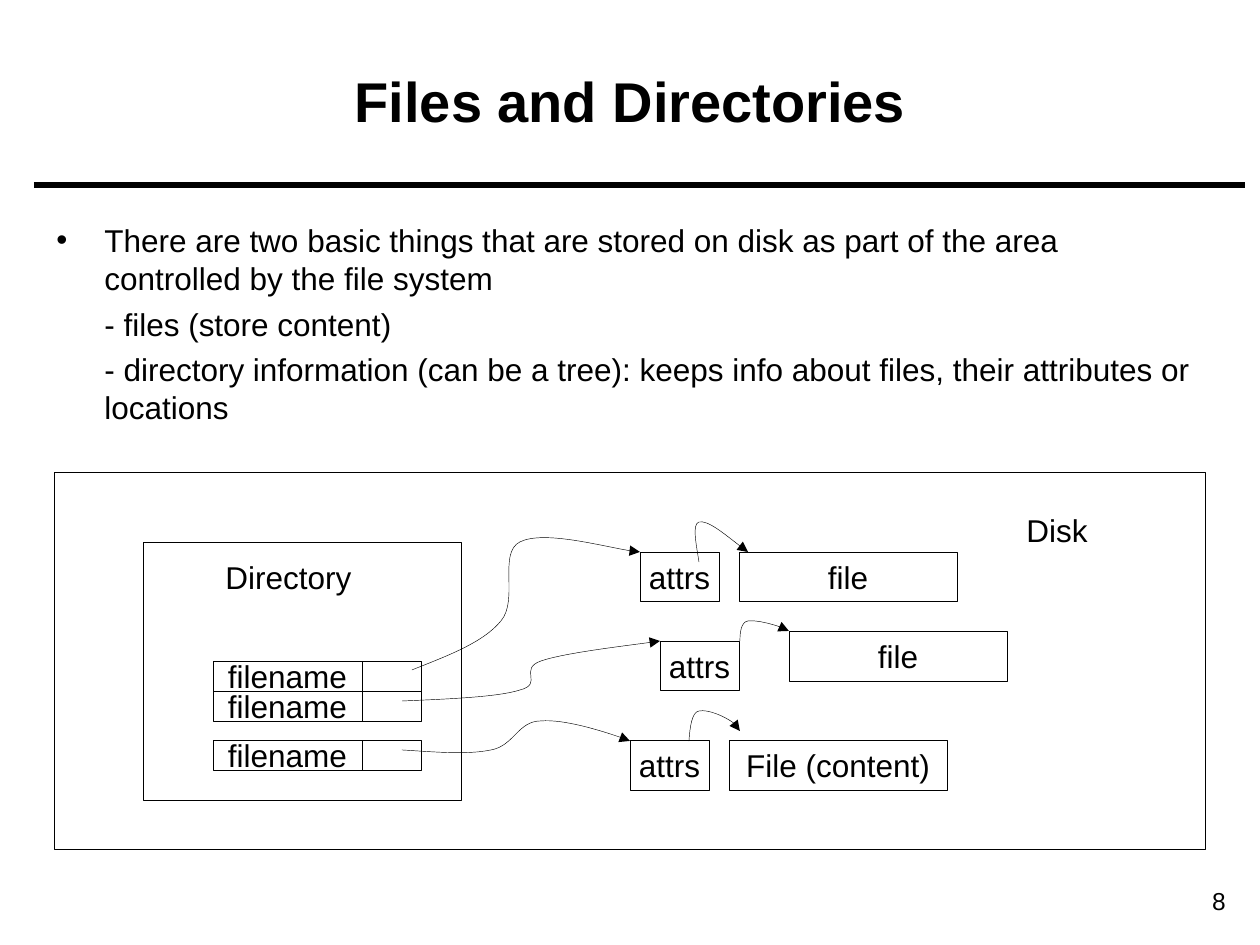
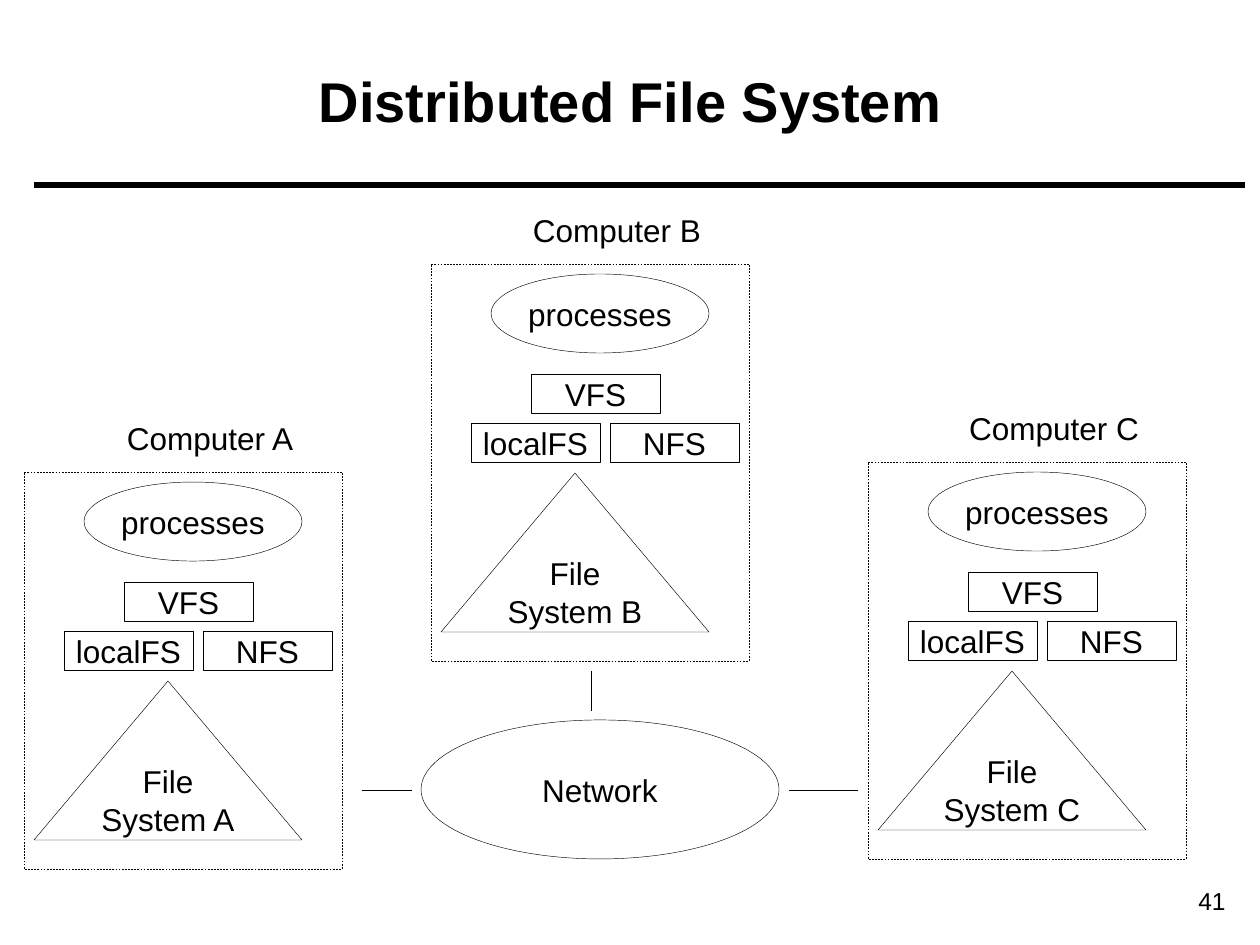
from dataclasses import dataclass

from lxml.etree import SubElement
from pptx import Presentation
from pptx.dml.color import RGBColor
from pptx.enum.dml import MSO_LINE
from pptx.enum.shapes import MSO_CONNECTOR, MSO_SHAPE
from pptx.enum.text import MSO_ANCHOR, PP_ALIGN
from pptx.oxml.ns import qn
from pptx.util import Emu, Pt

EMU_PER_PX = 914400 / 126
INK = "000000"
FONT = "Arial"
TEXT_SIZE = 18
HAIRLINE = 0.25


@dataclass(frozen=True)
class Box:
    left: int
    top: int
    width: int
    height: int

    def moved(self, right: int, down: int) -> "Box":
        return Box(self.left + right, self.top + down, self.width, self.height)


@dataclass(frozen=True)
class Node:
    box: Box
    text: str = ""
    kind: MSO_SHAPE = MSO_SHAPE.RECTANGLE
    dashed: bool = False


@dataclass(frozen=True)
class Computer:
    letter: str
    left: int
    top: int


@dataclass(frozen=True)
class Segment:
    start: tuple[int, int]
    end: tuple[int, int]
    weight: float = HAIRLINE


TITLE_BOX = Box(45, 21, 1171, 158)
NUMBER_BOX = Box(1107, 880, 131, 43)
BODY_BOX = Box(44, 215, 1171, 250)
BODY_INDENT = 48
TITLE_RULE = Segment((34, 185), (1245, 185), 3)

BODY_TEXT = (
    "There are two basic things that are stored on disk as part of the area "
    "controlled by the file system",
    "- files (store content)",
    "- directory information (can be a tree): keeps info about files, "
    "their attributes or locations",
)

DISK = Box(54, 472, 1151, 377)
DISK_LABEL = Box(1013, 505, 88, 50)
DIRECTORY = Box(143, 542, 318, 258)
DIRECTORY_LABEL = Box(208, 552, 161, 50)
ENTRY = Box(213, 0, 149, 30)
POINTER = Box(362, 0, 59, 30)
ENTRY_TOPS = (661, 691, 740)
ATTRIBUTES = (Box(640, 552, 79, 49), Box(660, 641, 79, 49), Box(630, 740, 79, 50))
FILES = (
    Node(Box(739, 552, 218, 49), "file"),
    Node(Box(789, 631, 218, 50), "file"),
    Node(Box(729, 740, 218, 50), "File (content)"),
)

# Each curve: a start point, then three points for every cubic piece.
ENTRY_CURVES = (
    ((412, 670), (447, 656), (483, 643), (501, 621), (519, 600), (498, 553),
     (520, 542), (544, 530), (620, 551), (640, 552)),
    ((402, 701), (450, 699), (498, 697), (520, 690), (544, 684), (518, 669),
     (541, 661), (564, 653), (641, 644), (660, 641)),
    ((402, 750), (435, 752), (467, 755), (491, 750), (514, 746), (518, 721),
     (541, 721), (564, 719), (619, 736), (630, 741)),
)
FILE_CURVES = (
    ((699, 562), (696, 543), (692, 524), (699, 522), (708, 520), (728, 537), (748, 552)),
    ((740, 641), (740, 633), (741, 622), (748, 621), (757, 620), (785, 627), (789, 631)),
    ((689, 741), (690, 727), (692, 712), (699, 711), (708, 709), (740, 722), (740, 731)),
)

COMPUTERS = (Computer("A", 24, 472), Computer("B", 431, 264), Computer("C", 868, 462))
COMPUTER_LABEL = Box(81, -59, 210, 50)
NETWORK = Node(Box(421, 720, 358, 139), "Network", MSO_SHAPE.OVAL)
NETWORK_LINKS = (
    Segment((362, 790), (412, 790)),
    Segment((591, 671), (591, 711)),
    Segment((789, 790), (858, 790)),
)


def emu(pixels: int) -> Emu:
    return Emu(round(pixels * EMU_PER_PX))


def place(box: Box) -> tuple[Emu, Emu, Emu, Emu]:
    return emu(box.left), emu(box.top), emu(box.width), emu(box.height)


def color(value: str) -> RGBColor:
    return RGBColor.from_string(value)


def style_text(frame, text: str, size: int = TEXT_SIZE, bold: bool = False,
               align=PP_ALIGN.CENTER, anchor=MSO_ANCHOR.MIDDLE, wrap: bool = False) -> None:
    frame.text = text
    frame.word_wrap = wrap
    frame.vertical_anchor = anchor
    for paragraph in frame.paragraphs:
        paragraph.alignment = align
        for span in paragraph.runs:
            span.font.name = FONT
            span.font.size = Pt(size)
            span.font.bold = bold
            span.font.color.rgb = color(INK)


def style_line(line, weight: float = HAIRLINE) -> None:
    line.color.rgb = color(INK)
    line.width = Pt(weight)


def add_label(page, box: Box, text: str, **style):
    frame = page.shapes.add_textbox(*place(box)).text_frame
    style_text(frame, text, **{"anchor": MSO_ANCHOR.TOP, **style})
    return frame


def add_node(page, node: Node) -> None:
    shape = page.shapes.add_shape(node.kind, *place(node.box))
    shape.shadow.inherit = False
    shape.fill.background()
    style_line(shape.line)
    if node.dashed:
        shape.line.dash_style = MSO_LINE.DASH
    if node.text:
        style_text(shape.text_frame, node.text)


def add_segment(page, segment: Segment) -> None:
    connector = page.shapes.add_connector(
        MSO_CONNECTOR.STRAIGHT, *map(emu, segment.start + segment.end))
    style_line(connector.line, segment.weight)
    SubElement(connector._element.spPr, qn("a:effectLst"))


def add_curved_arrow(page, points: tuple[tuple[int, int], ...]) -> None:
    """Draw cubic pieces by grouping each three line points into one curve."""
    builder = page.shapes.build_freeform(*points[0], scale=EMU_PER_PX)
    builder.add_line_segments(points[1:], close=False)
    arrow = builder.convert_to_shape()
    arrow.shadow.inherit = False
    arrow.fill.background()
    style_line(arrow.line)
    SubElement(arrow.line._get_or_add_ln(), qn("a:tailEnd"), type="triangle")

    outline = arrow._element.find(".//" + qn("a:path"))
    steps = outline.findall(qn("a:lnTo"))
    for first in range(0, len(steps), 3):
        curve = SubElement(outline, qn("a:cubicBezTo"))
        for step in steps[first:first + 3]:
            curve.append(step[0])
            outline.remove(step)


def add_page(deck, title: str, number: int):
    page = deck.slides.add_slide(deck.slide_layouts[6])
    add_segment(page, TITLE_RULE)
    add_label(page, NUMBER_BOX, str(number), size=14, align=PP_ALIGN.RIGHT, wrap=True)
    add_label(page, TITLE_BOX, title, size=32, bold=True, anchor=MSO_ANCHOR.MIDDLE, wrap=True)
    return page


def add_body(page) -> None:
    frame = add_label(page, BODY_BOX, "\n".join(BODY_TEXT), align=PP_ALIGN.LEFT, wrap=True)
    for index, paragraph in enumerate(frame.paragraphs):
        properties = paragraph._p.get_or_add_pPr()
        properties.set("marL", str(emu(BODY_INDENT)))
        if index == 0:
            properties.set("indent", str(-emu(BODY_INDENT)))
            SubElement(properties, qn("a:buFont"), typeface=FONT)
            SubElement(properties, qn("a:buChar"), char="•")
        else:
            properties.set("indent", "0")
            paragraph.space_before = Pt(4.5)


def add_files_page(deck) -> None:
    page = add_page(deck, "Files and Directories", 8)
    add_body(page)
    add_node(page, Node(DISK))
    add_label(page, DISK_LABEL, "Disk")
    add_node(page, Node(DIRECTORY))
    add_label(page, DIRECTORY_LABEL, "Directory")
    for top in ENTRY_TOPS:
        add_node(page, Node(ENTRY.moved(0, top), "filename"))
        add_node(page, Node(POINTER.moved(0, top)))
    for box in ATTRIBUTES:
        add_node(page, Node(box, "attrs"))
    for file in FILES:
        add_node(page, file)
    for points in ENTRY_CURVES + FILE_CURVES:
        add_curved_arrow(page, points)


def add_computer(page, computer: Computer) -> None:
    parts = (
        Node(Box(10, 209, 268, 159), f"File\nSystem {computer.letter}",
             MSO_SHAPE.ISOSCELES_TRIANGLE),
        Node(Box(60, 10, 218, 79), "processes", MSO_SHAPE.OVAL),
        Node(Box(0, 0, 318, 397), dashed=True),
        Node(Box(100, 110, 129, 39), "VFS"),
        Node(Box(40, 159, 129, 39), "localFS"),
        Node(Box(179, 159, 129, 39), "NFS"),
    )
    for part in parts:
        box = part.box.moved(computer.left, computer.top)
        add_node(page, Node(box, part.text, part.kind, part.dashed))
    add_label(page, COMPUTER_LABEL.moved(computer.left, computer.top),
              f"Computer {computer.letter}")


def add_distributed_page(deck) -> None:
    page = add_page(deck, "Distributed File System", 41)
    for computer in COMPUTERS:
        add_computer(page, computer)
    add_node(page, NETWORK)
    for link in NETWORK_LINKS:
        add_segment(page, link)


def main() -> None:
    deck = Presentation()
    deck.slide_width, deck.slide_height = emu(1260), emu(945)
    add_files_page(deck)
    add_distributed_page(deck)
    deck.save("out.pptx")


if __name__ == "__main__":
    main()
